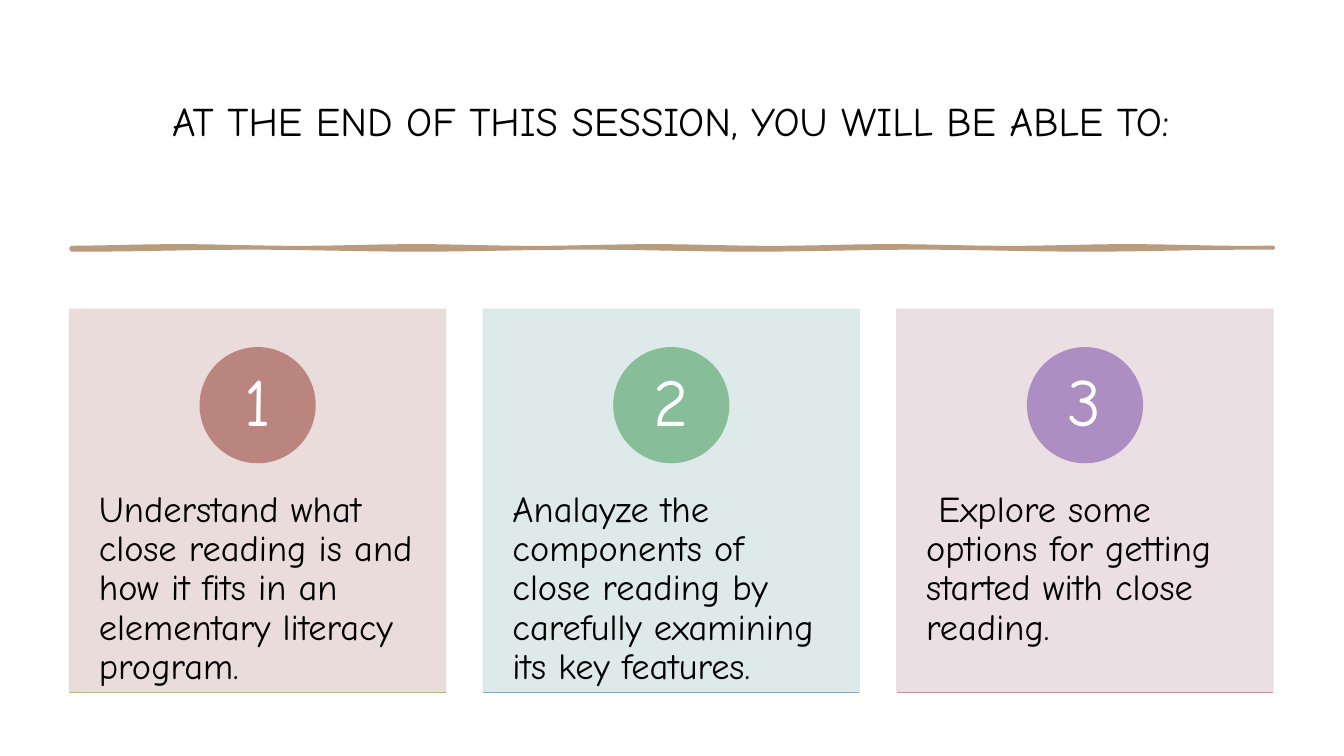
import math

from lxml import etree
from pptx import Presentation
from pptx.dml import color
from pptx.enum import shapes, text
from pptx.oxml import ns
from pptx.util import Pt

FONT = "Comic Neue"
LEFT, WIDTH = 49.7, 859.6
CARD_TOP, CARD_W, CARD_H, CARD_PITCH = 221, 268.6, 273.6, 295.5
CIRCLE = 82
CARDS = [
    ("1", "Understand what close reading is and how it fits in an elementary literacy program.",
     "E7D9D8", "BA857F", "AFBC83"),
    ("2", "Analayze the components of close reading by carefully examining its key features.",
     "DAE8E7", "87BE99", "8AA7C0"),
    ("3", " Explore some options for getting started with close reading.",
     "EADCE0", "AC8EC2", "C492A1"),
]


def rgb(value):
    return color.RGBColor.from_string(value)


def paint(sp, value, line_width, alpha=None):
    sp.shadow.inherit = False
    sp.fill.solid()
    sp.fill.fore_color.rgb = rgb(value)
    sp.line.color.rgb = rgb(value)
    sp.line.width = Pt(line_width)
    if alpha:
        for clr in sp.element.spPr.iter(ns.qn("a:srgbClr")):
            etree.SubElement(clr, ns.qn("a:alpha"), val=str(alpha * 1000))


def add_shape(slide, kind, x, y, w, h, fill, alpha=None):
    sp = slide.shapes.add_shape(kind, Pt(x), Pt(y), Pt(w), Pt(h))
    paint(sp, fill, 1, alpha)
    return sp


def write(sp, content, size, value, align, anchor, inset_x, inset_y):
    tf = sp.text_frame
    tf.word_wrap = True
    tf.vertical_anchor = anchor
    tf.margin_left = tf.margin_right = Pt(inset_x)
    tf.margin_top = tf.margin_bottom = Pt(inset_y)
    p = tf.paragraphs[0]
    p.text = content
    p.alignment = align
    p.line_spacing = 0.9
    p.font.name = FONT
    p.font.size = Pt(size)
    p.font.color.rgb = rgb(value)


def add_text(slide, x, y, w, h, *style):
    sp = slide.shapes.add_textbox(Pt(x), Pt(y), Pt(w), Pt(h))
    write(sp, *style)


def add_rule(slide, x, y, w, value):
    cxn = slide.shapes.add_connector(
        shapes.MSO_CONNECTOR.STRAIGHT, Pt(x), Pt(y), Pt(x + w), Pt(y))
    cxn.line.color.rgb = rgb(value)
    cxn.line.width = Pt(1)
    etree.SubElement(cxn.element.spPr, ns.qn("a:effectLst"))


def add_wavy_rule(slide, x, y, w, value):
    steps = [x + w * i / 120 for i in range(121)]
    top = [(a, y - 0.6 + 0.6 * math.sin(a / 27)) for a in steps]
    bottom = [(a, y + 0.7 + 0.7 * math.sin(a / 38)) for a in reversed(steps)]
    points = [(Pt(a), Pt(b)) for a, b in top + bottom]
    builder = slide.shapes.build_freeform(*points[0])
    builder.add_line_segments(points[1:], close=True)
    paint(builder.convert_to_shape(), value, 2.75)


def add_card(slide, x, number, goal, back, accent, edge):
    add_shape(slide, shapes.MSO_SHAPE.RECTANGLE, x, CARD_TOP, CARD_W, CARD_H, back, 90)
    add_text(slide, x, 324.7, CARD_W, 164.2, goal, 26, "000000",
             text.PP_ALIGN.LEFT, text.MSO_ANCHOR.TOP, 20.9, 25.9)
    badge = add_shape(slide, shapes.MSO_SHAPE.OVAL, x + (CARD_W - CIRCLE) / 2,
                      CARD_TOP + 27.4, CIRCLE, CIRCLE, accent)
    write(badge, number, 48, "FFFFFF", text.PP_ALIGN.CENTER, text.MSO_ANCHOR.MIDDLE, 0, 0)
    add_rule(slide, x, CARD_TOP + CARD_H, CARD_W, edge)


def main():
    prs = Presentation()
    prs.slide_width, prs.slide_height = Pt(960), Pt(540)
    slide = prs.slides.add_slide(prs.slide_layouts[6])
    slide.background.fill.solid()
    slide.background.fill.fore_color.rgb = rgb("FFFFFF")
    add_text(slide, LEFT, 50, WIDTH, 76, "AT THE END OF THIS SESSION, YOU WILL BE ABLE TO:",
             29, "000000", text.PP_ALIGN.CENTER, text.MSO_ANCHOR.MIDDLE, 7.2, 3.6)
    add_wavy_rule(slide, 51, 177, 858.3, "B99C7D")
    for i, card in enumerate(CARDS):
        add_card(slide, LEFT + i * CARD_PITCH, *card)
    prs.save("out.pptx")


if __name__ == "__main__":
    main()
